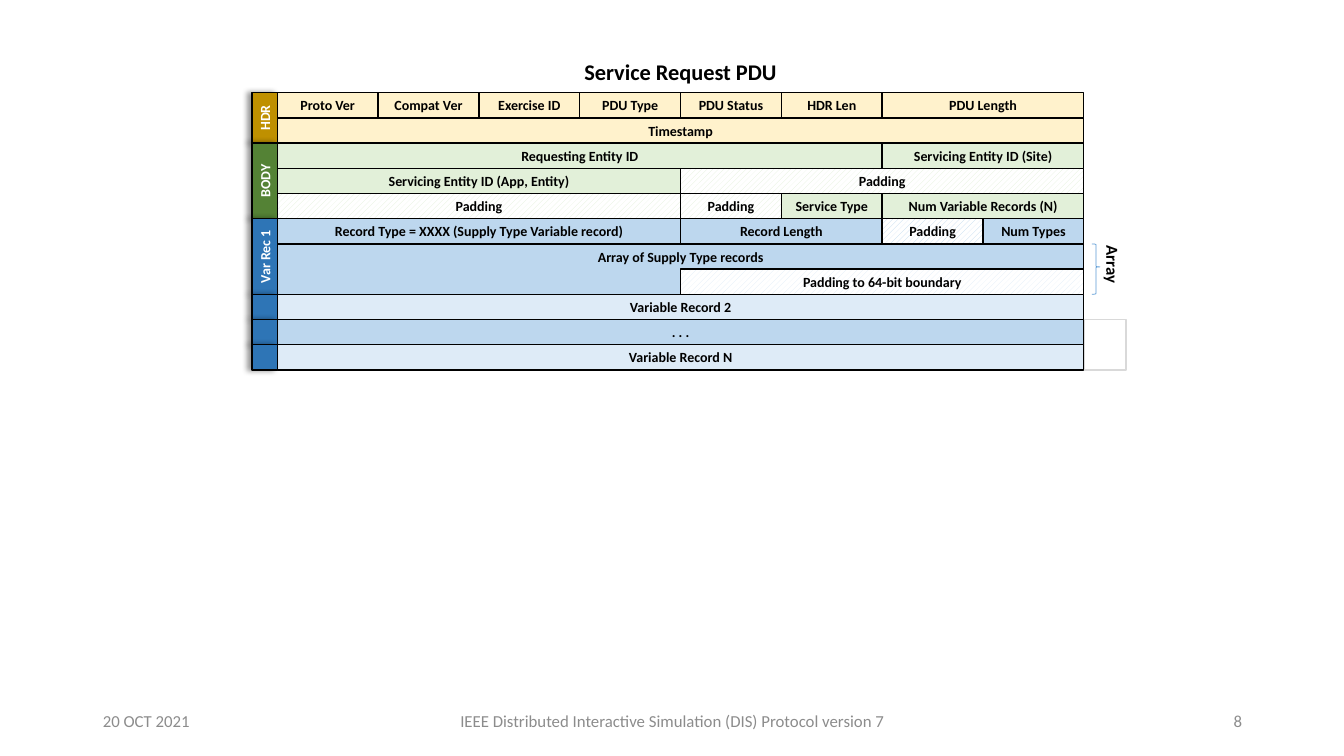
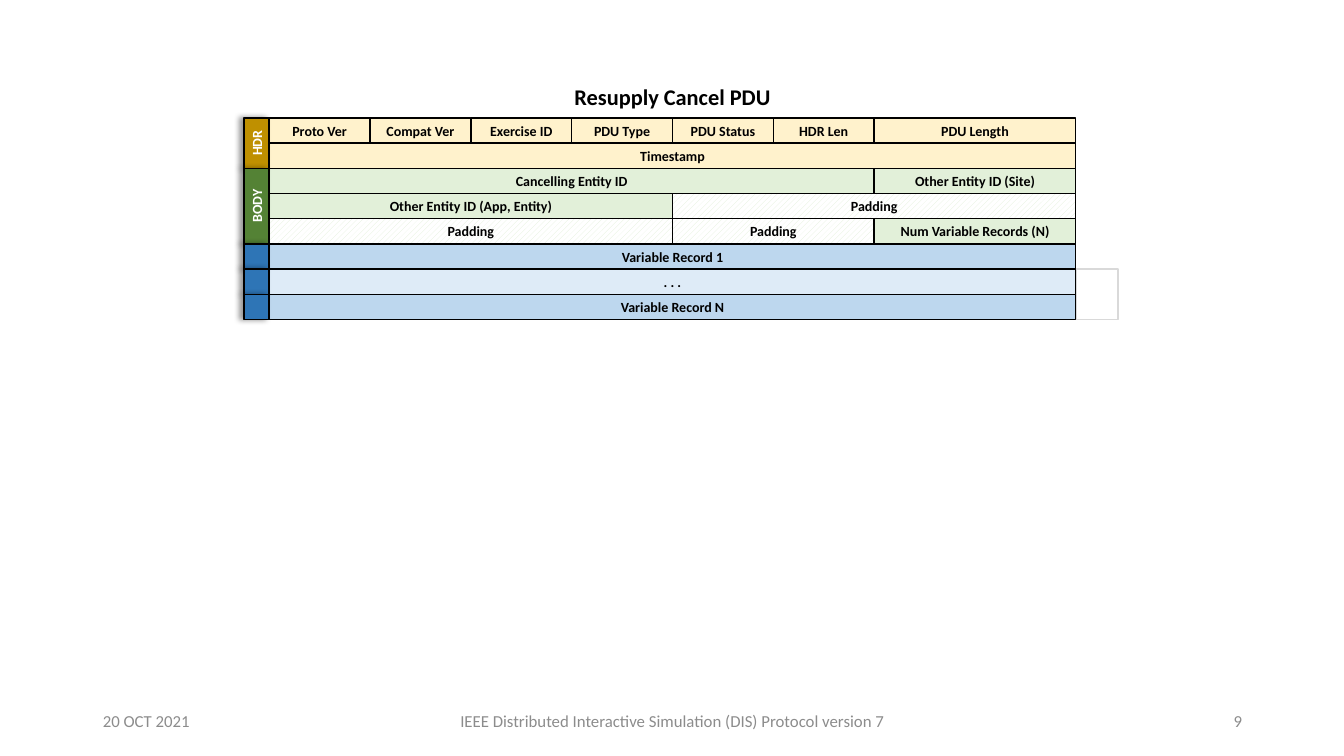
from copy import deepcopy
from dataclasses import dataclass

from lxml.etree import SubElement
from pptx import Presentation
from pptx.dml.color import RGBColor
from pptx.enum.dml import MSO_PATTERN
from pptx.enum.shapes import MSO_SHAPE
from pptx.enum.text import MSO_ANCHOR, MSO_AUTO_SIZE, PP_ALIGN
from pptx.oxml.ns import qn
from pptx.util import Inches, Pt


@dataclass(frozen=True)
class Theme:
    font: str = "Calibri"
    black: str = "000000"
    white: str = "FFFFFF"
    footer: str = "8C8C8C"
    outline: str = "D9D9D9"
    brace: str = "5B9BD5"
    gold: str = "BF9000"
    cream: str = "FFF2CC"
    green: str = "548235"
    mint: str = "E2F0D9"
    blue: str = "2E75B6"
    sky: str = "BDD7EE"
    ice: str = "DEEBF7"
    title_size: int = 16
    note_size: int = 12
    field_size: int = 10


@dataclass(frozen=True)
class Field:
    text: str
    span: int
    colour: str
    hatched: bool = False
    rows: int = 1


@dataclass(frozen=True)
class Tab:
    text: str
    rows: int
    colour: str


THEME = Theme()
ROW = 0.25
COLUMNS = 8
TITLE_RISE = 0.34
FOOTER_TEXT = "IEEE Distributed Interactive Simulation (DIS) Protocol version 7"

HEADER_ROWS = [
    [Field(name, 1, THEME.cream) for name in
     ("Proto Ver", "Compat Ver", "Exercise ID", "PDU Type", "PDU Status", "HDR Len")]
    + [Field("PDU Length", 2, THEME.cream)],
    [Field("Timestamp", COLUMNS, THEME.cream)],
]
HEADER_TABS = [Tab("HDR", 2, THEME.gold), Tab("BODY", 3, THEME.green)]
RECORD_TABS = [Tab("", 1, THEME.blue)] * 3


def rgb(value):
    return RGBColor.from_string(value)


def apply(target, values):
    for name, value in values.items():
        setattr(target, name, value)


def place(part, left, top, width, height):
    apply(part, {"left": Inches(left), "top": Inches(top),
                 "width": Inches(width), "height": Inches(height)})


def write(part, text, size, colour, bold=True, align=PP_ALIGN.CENTER,
          anchor=MSO_ANCHOR.MIDDLE, inset=0):
    frame = part.text_frame
    apply(frame, {"word_wrap": True, "auto_size": MSO_AUTO_SIZE.NONE,
                  "vertical_anchor": anchor, "margin_left": Inches(inset),
                  "margin_right": Inches(inset), "margin_top": Inches(0.05 if anchor == MSO_ANCHOR.TOP else 0),
                  "margin_bottom": 0})
    frame.text = text
    paragraph = frame.paragraphs[0]
    paragraph.alignment = align
    apply(paragraph.runs[0].font, {"name": THEME.font, "size": Pt(size), "bold": bold})
    paragraph.runs[0].font.color.rgb = rgb(colour)


def draw(group, preset, box, fill=None, line=THEME.black, weight=1, hatched=False):
    shape = group.shapes.add_shape(preset, *map(Inches, box))
    shape.shadow.inherit = False
    if fill is None:
        shape.fill.background()
    elif hatched:
        shape.fill.patterned()
        shape.fill.pattern = MSO_PATTERN.WIDE_UPWARD_DIAGONAL
        shape.fill.fore_color.rgb = rgb(fill)
        shape.fill.back_color.rgb = rgb(THEME.white)
    else:
        shape.fill.solid()
        shape.fill.fore_color.rgb = rgb(fill)
    shape.line.color.rgb = rgb(line)
    shape.line.width = Pt(weight)
    return shape


def cast_left_shadow(shape):
    effects = shape.element.spPr.find(qn("a:effectLst"))
    shadow = SubElement(effects, qn("a:outerShdw"), blurRad=str(Pt(4)), dist=str(Pt(3)),
                        dir="10800000", algn="r", rotWithShape="0")
    tint = SubElement(shadow, qn("a:srgbClr"), val=THEME.black)
    SubElement(tint, qn("a:alpha"), val="40000")


def add_fields(group, left, top, rows):
    for index, row in enumerate(rows):
        column = 0
        for field in row:
            if field.text:
                box = (left + column, top + index * ROW, field.span, field.rows * ROW)
                cell = draw(group, MSO_SHAPE.RECTANGLE, box, field.colour, hatched=field.hatched)
                anchor = MSO_ANCHOR.TOP if field.rows > 1 else MSO_ANCHOR.MIDDLE
                write(cell, field.text, THEME.field_size, THEME.black, anchor=anchor)
            column += field.span


def add_tabs(group, left, top, tabs):
    for tab in tabs:
        length = tab.rows * ROW
        box = (left - (ROW + length) / 2, top + (length - ROW) / 2, length, ROW)
        label = draw(group, MSO_SHAPE.RECTANGLE, box, tab.colour)
        label.rotation = 270
        cast_left_shadow(label)
        if tab.text:
            write(label, tab.text, THEME.field_size, THEME.white)
        top += length


def add_array_mark(group, left, top, height):
    brace = draw(group, MSO_SHAPE.RIGHT_BRACE, (left + 0.08, top, 0.08, height),
                 line=THEME.brace, weight=0.5)
    brace.adjustments[0] = 0.083
    brace.adjustments[1] = 0.456
    label = group.shapes.add_textbox(Inches(left), Inches(top + 0.08), Inches(0.58), Inches(ROW))
    label.rotation = 90
    write(label, "Array", THEME.note_size, THEME.black)


def add_footer(slide, number):
    texts = {
        10: ("20 OCT 2021", PP_ALIGN.LEFT, 0.92, 3),
        11: (FOOTER_TEXT, PP_ALIGN.CENTER, 4.42, 4.5),
        12: (str(number), PP_ALIGN.RIGHT, 9.42, 3),
    }
    for source in slide.slide_layout.placeholders:
        if source.placeholder_format.idx in texts:
            slide.shapes.element.append(deepcopy(source.element))
    for part in slide.placeholders:
        index = part.placeholder_format.idx
        if index in texts:
            text, align, left, width = texts[index]
            place(part, left, 6.95, width, 0.4)
            write(part, text, THEME.note_size, THEME.footer, False, align, inset=0.1)


def add_pdu_slide(deck, number, title, left, top, rows, tabs, array_row=None):
    slide = deck.slides.add_slide(deck.slide_layouts[5])
    add_footer(slide, number)
    place(slide.shapes.title, left + 2, top - TITLE_RISE, 4, ROW)
    write(slide.shapes.title, title, THEME.title_size, THEME.black)
    group = slide.shapes.add_group_shape()
    right = left + COLUMNS
    repeat_top = top + (len(rows) - 2) * ROW
    draw(group, MSO_SHAPE.RECTANGLE, (right, repeat_top, 0.42, 2 * ROW), line=THEME.outline)
    add_fields(group, left, top, rows)
    add_tabs(group, left, top, tabs)
    if array_row is not None:
        add_array_mark(group, right, top + array_row * ROW, 2 * ROW)


def main():
    deck = Presentation()
    deck.slide_width = Inches(13.33)
    deck.slide_height = Inches(7.5)

    service_rows = HEADER_ROWS + [
        [Field("Requesting Entity ID", 6, THEME.mint),
         Field("Servicing Entity ID (Site)", 2, THEME.mint)],
        [Field("Servicing Entity ID (App, Entity)", 4, THEME.mint),
         Field("Padding", 4, THEME.mint, True)],
        [Field("Padding", 4, THEME.mint, True), Field("Padding", 1, THEME.mint, True),
         Field("Service Type", 1, THEME.mint), Field("Num Variable Records (N)", 2, THEME.mint)],
        [Field("Record Type = XXXX (Supply Type Variable record)", 4, THEME.sky),
         Field("Record Length", 2, THEME.sky), Field("Padding", 1, THEME.sky, True),
         Field("Num Types", 1, THEME.sky)],
        [Field("Array of Supply Type records", COLUMNS, THEME.sky, rows=2)],
        [Field("", 4, THEME.sky), Field("Padding to 64-bit boundary", 4, THEME.ice, True)],
        [Field("Variable Record 2", COLUMNS, THEME.ice)],
        [Field(". . .", COLUMNS, THEME.sky)],
        [Field("Variable Record N", COLUMNS, THEME.ice)],
    ]
    service_tabs = HEADER_TABS + [Tab("Var Rec 1", 3, THEME.blue)] + RECORD_TABS
    add_pdu_slide(deck, 8, "Service Request PDU", 2.75, 0.92, service_rows, service_tabs, 6)

    cancel_rows = HEADER_ROWS + [
        [Field("Cancelling Entity ID", 6, THEME.mint),
         Field("Other Entity ID (Site)", 2, THEME.mint)],
        [Field("Other Entity ID (App, Entity)", 4, THEME.mint),
         Field("Padding", 4, THEME.mint, True)],
        [Field("Padding", 4, THEME.mint, True), Field("Padding", 2, THEME.mint, True),
         Field("Num Variable Records (N)", 2, THEME.mint)],
        [Field("Variable Record 1", COLUMNS, THEME.sky)],
        [Field(". . .", COLUMNS, THEME.ice)],
        [Field("Variable Record N", COLUMNS, THEME.sky)],
    ]
    add_pdu_slide(deck, 9, "Resupply Cancel PDU", 2.67, 1.17, cancel_rows,
                  HEADER_TABS + RECORD_TABS)
    deck.save("out.pptx")


if __name__ == "__main__":
    main()
